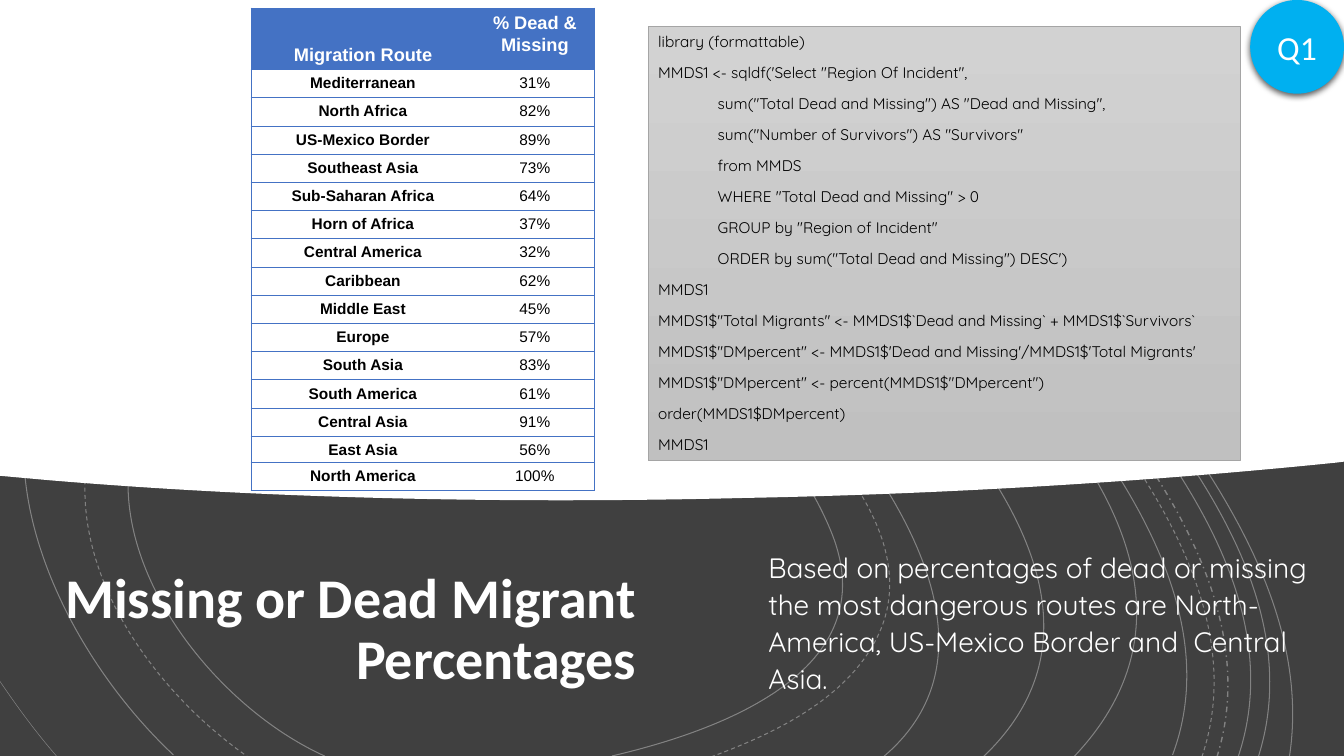
from lxml import etree
from pptx import Presentation
from pptx.dml.color import RGBColor
from pptx.enum.dml import MSO_LINE
from pptx.enum.shapes import MSO_SHAPE
from pptx.enum.text import MSO_ANCHOR, MSO_AUTO_SIZE, PP_ALIGN
from pptx.oxml.ns import qn
from pptx.util import Inches, Pt

RECTANGLE, OVAL = MSO_SHAPE.RECTANGLE, MSO_SHAPE.OVAL
SOLID, DASH, DASH_DOT = MSO_LINE.SOLID, MSO_LINE.DASH, MSO_LINE.DASH_DOT
TOP, MIDDLE, BOTTOM = MSO_ANCHOR.TOP, MSO_ANCHOR.MIDDLE, MSO_ANCHOR.BOTTOM
LEFT, CENTER, RIGHT = PP_ALIGN.LEFT, PP_ALIGN.CENTER, PP_ALIGN.RIGHT

COLORS = {"dark": "404040", "white": "FFFFFF", "black": "000000", "table": "4472C4",
          "code_top": "D2D2D2", "code_bottom": "C0C0C0", "code_line": "A5A5A5",
          "badge": "00B0F0"}
NO_TABLE_STYLE = "{2D5ABB26-0587-4C30-8999-92F81FD0307C}"

# Dash, width in points, then a start and three points for each cubic segment
CONTOURS = [
    (SOLID, 0.75, [(8.76, 7.51), (10.25, 6.25), (8.35, 4.09), (7.38, 3.15),
                   (6.49, 2.3), (5.36, 1.64), (4.12, 1.53),
                   (2.87, 1.41), (1.41, 2.08), (0.68, 3.07),
                   (-0.36, 4.47), (0.6, 6.44), (1.72, 7.49)]),
    (SOLID, 0.75, [(6.07, 7.5), (7.1, 7.26), (8.8, 6.67), (8.25, 5.29),
                   (7.73, 3.99), (6.15, 2.78), (4.8, 2.48),
                   (3.57, 2.2), (2.16, 2.81), (1.51, 3.91),
                   (0.73, 5.24), (2, 6.95), (3.22, 7.5)]),
    (DASH, 0.75, [(7.05, 7.51), (7.65, 7.29), (8.35, 6.96), (8.67, 6.38),
                  (9.06, 5.68), (8.64, 4.95), (8.17, 4.4),
                  (7.23, 3.29), (5.92, 2.27), (4.43, 2.09),
                  (3.19, 1.95), (1.93, 2.67), (1.22, 3.68),
                  (0.27, 5.04), (1.27, 6.68), (2.46, 7.51)]),
    (SOLID, 0.75, [(9.75, 7.51), (11.3, 6.04), (9.5, 4.13), (8.38, 3.06),
                   (7.32, 2.06), (6.03, 1.2), (4.58, 0.92),
                   (2.84, 0.59), (1.11, 1.43), (0, 2.8)]),
    (SOLID, 0.38, [(0, 6.76), (0.19, 7.04), (0.37, 7.28), (0.56, 7.5)]),
    (SOLID, 0.75, [(10.65, 7.51), (12.13, 5.95), (10.67, 4.22), (9.44, 3.07),
                   (8.17, 1.89), (6.67, 0.87), (4.98, 0.44),
                   (2.98, -0.06), (1.52, 0.46), (0, 1.84)]),
    (SOLID, 0.75, [(11.63, 7.49), (12.26, 5.81), (10.64, 4.01), (9.63, 2.87),
                   (8.58, 1.7), (7.36, 0.66), (5.93, 0)]),
    (DASH, 0.75, [(11.92, 7.51), (12.48, 5.86), (10.98, 4.15), (10, 3.01),
                  (8.97, 1.81), (7.77, 0.73), (6.37, 0)]),
    (DASH_DOT, 1, [(12.07, 7.51), (12.59, 5.85), (11.13, 4.17), (10.15, 3.02),
                   (9.13, 1.83), (7.95, 0.75), (6.58, 0)]),
    (SOLID, 0.75, [(12.28, 7.51), (12.83, 5.88), (11.44, 4.25), (10.46, 3.12),
                   (9.41, 1.9), (8.2, 0.79), (6.79, 0)]),
    (SOLID, 0.75, [(12.48, 7.51), (12.99, 5.9), (11.67, 4.32), (10.7, 3.18),
                   (9.66, 1.95), (8.46, 0.83), (7.07, 0)]),
    (SOLID, 0.75, [(12.79, 7.5), (13.03, 5.9), (11.82, 4.38), (10.9, 3.22),
                   (9.93, 2), (8.81, 0.87), (7.52, 0)]),
]
PANEL_EDGE = [(11.09, 4.81), (9.01, 4.91), (7.39, 4.94), (5.4, 4.99), (2.91, 4.97), (0.44, 4.76)]

ROUTES = [("Mediterranean", "31%"), ("North Africa", "82%"), ("US-Mexico Border", "89%"),
          ("Southeast Asia", "73%"), ("Sub-Saharan Africa", "64%"), ("Horn of Africa", "37%"),
          ("Central America", "32%"), ("Caribbean", "62%"), ("Middle East", "45%"),
          ("Europe", "57%"), ("South Asia", "83%"), ("South America", "61%"),
          ("Central Asia", "91%"), ("East Asia", "56%"), ("North America", "100%")]

# Indent level and text
CODE = [(0, "library (formattable)"),
        (0, "MMDS1 <- sqldf('Select \"Region Of Incident\","),
        (1, 'sum("Total Dead and Missing") AS "Dead and Missing",'),
        (1, 'sum("Number of Survivors") AS "Survivors"'),
        (1, "from MMDS"),
        (1, 'WHERE "Total Dead and Missing" > 0'),
        (1, 'GROUP by "Region of Incident"'),
        (1, "ORDER by sum(\"Total Dead and Missing\") DESC')"),
        (0, "MMDS1"),
        (0, 'MMDS1$"Total Migrants" <- MMDS1$`Dead and Missing` + MMDS1$`Survivors`'),
        (0, "MMDS1$\"DMpercent\" <- MMDS1$'Dead and Missing'/MMDS1$'Total Migrants'"),
        (0, 'MMDS1$"DMpercent" <- percent(MMDS1$"DMpercent")'),
        (0, "order(MMDS1$DMpercent)"),
        (0, "MMDS1")]


def rgb(name):
    return RGBColor.from_string(COLORS[name])


def add_xml(parent, tag, **attributes):
    return etree.SubElement(parent, qn(tag), {key: str(value) for key, value in attributes.items()})


def format_paragraph(paragraph, font, size, color, bold=False, align=LEFT, spacing=1.0):
    paragraph.alignment = align
    paragraph.line_spacing = spacing
    for run in paragraph.runs:
        run.font.name, run.font.size, run.font.bold = font, Pt(size), bold
        run.font.color.rgb = rgb(color)


def add_outline(shapes, points, left, top, curved, close=False):
    """Join the points; those in the slice curved become cubic segments, three points each."""
    places = [(Inches(left + x), Inches(top + y)) for x, y in points]
    builder = shapes.build_freeform(*places[0], scale=1.0)
    builder.add_line_segments(places[1:], close=close)
    shape = builder.convert_to_shape()
    shape.shadow.inherit = False
    steps = list(shape._element.iter(qn("a:lnTo")))[curved]
    for first, second, third in zip(steps[::3], steps[1::3], steps[2::3]):
        cubic = etree.Element(qn("a:cubicBezTo"))
        first.addprevious(cubic)
        for step in (first, second, third):
            cubic.append(step[0])
            step.getparent().remove(step)
    return shape


def add_backdrop(slide, left, top, width, height):
    ground = slide.shapes.add_shape(RECTANGLE, *map(Inches, (left, top, width, height)))
    ground.shadow.inherit = False
    ground.fill.solid()
    ground.fill.fore_color.rgb = rgb("dark")
    ground.line.fill.background()
    contours = slide.shapes.add_group_shape()
    for dash, line_width, points in CONTOURS:
        contour = add_outline(contours.shapes, points, left, top, slice(None))
        contour.fill.background()
        contour.line.color.rgb = rgb("white")
        contour.line.width = Pt(line_width)
        contour.line.dash_style = dash
        color = contour.line._ln.find(".//" + qn("a:srgbClr"))
        add_xml(color, "a:alpha", val=35000)


def add_white_panel(slide, left, top, width):
    corners = [(0, 0), (width, 0), (width, 4.58), (width - 0.08, 4.59)]
    points = corners + PANEL_EDGE + [(0, 4.72)]
    panel = add_outline(slide.shapes, points, left, top, slice(3, 9), close=True)
    panel.fill.solid()
    panel.fill.fore_color.rgb = rgb("white")
    panel.line.fill.background()


def fill_placeholder(placeholder, box, text, **style):
    """Place a title or body, bring it to the front and format its one paragraph."""
    placeholder.left, placeholder.top, placeholder.width, placeholder.height = map(Inches, box)
    element = placeholder._element
    element.getparent().append(element)
    frame = placeholder.text_frame
    frame.text = text
    frame.word_wrap = True
    frame.auto_size = MSO_AUTO_SIZE.NONE
    frame.vertical_anchor = MIDDLE
    paragraph = frame.paragraphs[0]
    format_paragraph(paragraph, color="white", **style)
    properties = paragraph._p.get_or_add_pPr()
    properties.set("marL", "0")
    properties.set("indent", "0")
    add_xml(properties, "a:buNone")


def set_borders(cell, sides):
    """Draw the given sides, listed in the order L, R, T, B."""
    properties = cell._tc.get_or_add_tcPr()
    for index, side in enumerate(sides):
        line = etree.Element(qn(f"a:ln{side}"), w=str(Pt(0.75)))
        add_xml(add_xml(line, "a:solidFill"), "a:srgbClr", val=COLORS["table"])
        properties.insert(index, line)


def add_route_table(slide, left, top, width, height):
    rows = [("Migration Route", "% Dead & Missing")] + ROUTES
    frame = slide.shapes.add_table(len(rows), 2, *map(Inches, (left, top, width, height)))
    table = frame.table
    frame._element.find(".//" + qn("a:tableStyleId")).text = NO_TABLE_STYLE
    table.columns[0].width, table.columns[1].width = Inches(width - 1.19), Inches(1.19)
    last = len(rows) - 1
    row_heights = {0: 0.61, last - 1: 0.25}
    for row, values in enumerate(rows):
        table.rows[row].height = Inches(row_heights.get(row, 0.28))
        header = row == 0
        for column, value in enumerate(values):
            cell = table.cell(row, column)
            cell.text = value
            cell.margin_left = cell.margin_right = Inches(0.07)
            cell.margin_top = cell.margin_bottom = Inches(0.04)
            cell.vertical_anchor = BOTTOM if header and column == 0 else TOP
            format_paragraph(cell.text_frame.paragraphs[0], "Arial", 13 if header else 11,
                             "white" if header else "black", header or column == 0, CENTER, 1.07)
            if header:
                cell.fill.solid()
                cell.fill.fore_color.rgb = rgb("table")
            else:
                cell.fill.background()
            starts_pair = header or row % 2 == 1
            set_borders(cell, "LR"[column] + "T" * starts_pair + "B" * (row == last or row % 2 == 0))


def add_code_box(slide, left, top, width, height):
    box = slide.shapes.add_shape(RECTANGLE, *map(Inches, (left, top, width, height)))
    box.shadow.inherit = False
    box.fill.gradient()
    box.fill.gradient_angle = 270
    for stop, color in zip(box.fill.gradient_stops, ("code_top", "code_bottom")):
        stop.color.rgb = rgb(color)
    box.line.color.rgb = rgb("code_line")
    box.line.width = Pt(0.5)
    frame = box.text_frame
    frame.word_wrap = True
    frame.vertical_anchor = TOP
    frame.text = "\n".join(text for _, text in CODE)
    for paragraph, (level, _) in zip(frame.paragraphs, CODE):
        format_paragraph(paragraph, "Quicksand", 11, "black", spacing=1.07)
        paragraph.space_after = Pt(8)
        paragraph._p.get_or_add_pPr().set("marL", str(Inches(0.59 * level)))


def add_badge(slide, left, top, size, text):
    badge = slide.shapes.add_shape(OVAL, *map(Inches, (left, top, size, size)))
    badge.shadow.inherit = False
    badge.fill.solid()
    badge.fill.fore_color.rgb = rgb("badge")
    badge.line.fill.background()
    effects = badge._element.spPr.find(qn("a:effectLst"))
    shadow = add_xml(effects, "a:outerShdw", blurRad=Pt(4.5), dist=Pt(1.5), dir=5400000)
    add_xml(add_xml(shadow, "a:srgbClr", val=COLORS["black"]), "a:alpha", val=63000)
    frame = badge.text_frame
    frame.text = text
    frame.word_wrap = False
    frame.vertical_anchor = MIDDLE
    format_paragraph(frame.paragraphs[0], "Calibri", 24, "white", align=CENTER)
    frame.paragraphs[0].space_after = Pt(6)


def main():
    presentation = Presentation()
    presentation.slide_width, presentation.slide_height = Inches(13.33), Inches(7.5)
    slide = presentation.slides.add_slide(presentation.slide_layouts[1])
    title, body = slide.placeholders
    add_backdrop(slide, 0, 0, 13.33, 7.5)
    fill_placeholder(title, (-1.27, 5.29, 7.68, 1.94), "Missing or Dead Migrant Percentages",
                     font="Calibri", size=40, bold=True, align=RIGHT, spacing=0.9)
    add_white_panel(slide, 0, 0, 13.33)
    fill_placeholder(body, (7.52, 5.19, 5.55, 1.94),
                     "Based on percentages of dead or missing the most dangerous routes are "
                     "North-America, US-Mexico Border and  Central Asia.",
                     font="Quicksand", size=20, spacing=1.1)
    add_route_table(slide, 2.49, 0.08, 3.41, 4.8)
    add_code_box(slide, 6.43, 0.26, 5.87, 4.31)
    add_badge(slide, 12.4, 0, 0.93, "Q1")
    presentation.save("out.pptx")


if __name__ == "__main__":
    main()
